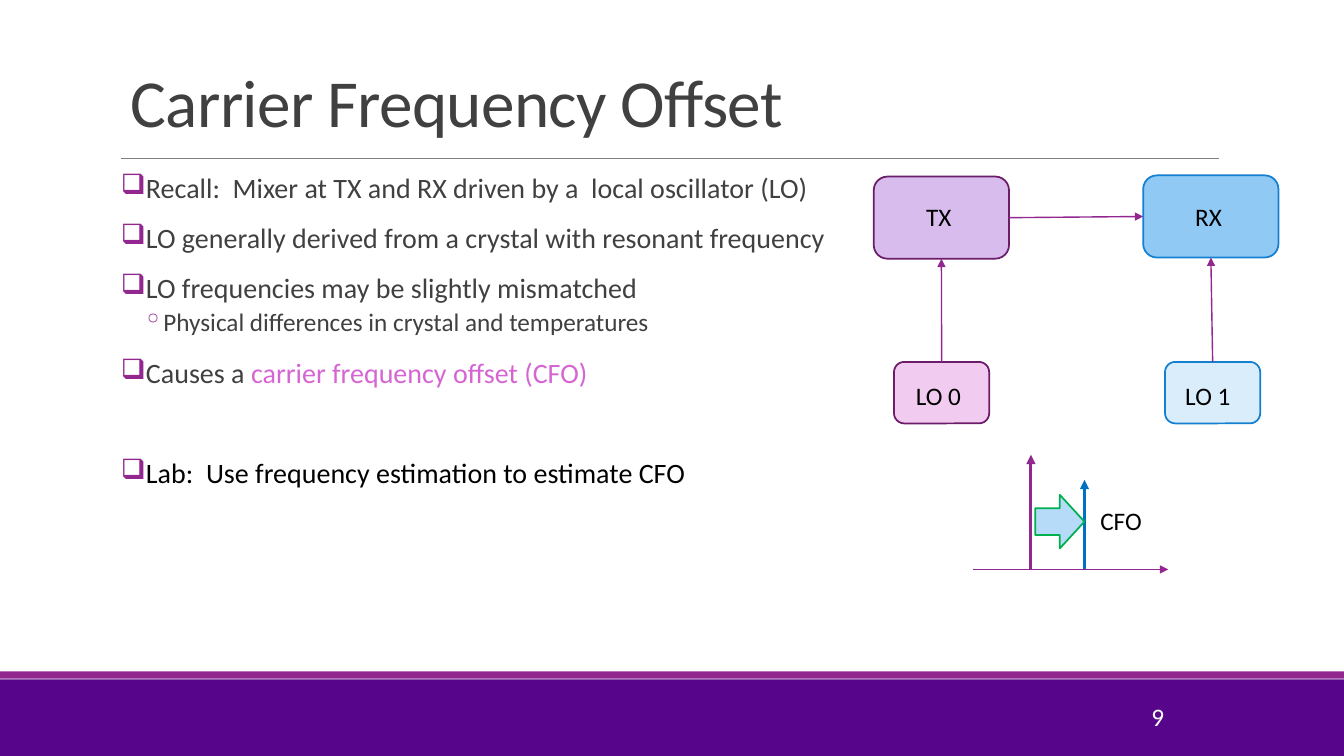
"""Build the Carrier Frequency Offset slide."""
from dataclasses import dataclass

from lxml import etree
from pptx import Presentation
from pptx import util as u
from pptx.dml.color import RGBColor
from pptx.enum import shapes, text
from pptx.oxml import ns

WHITE = RGBColor(0xFF, 0xFF, 0xFF)
BLACK = RGBColor(0x00, 0x00, 0x00)
INK = RGBColor(0x40, 0x40, 0x40)
GREY = RGBColor(0x80, 0x80, 0x80)
VIOLET = RGBColor(0x57, 0x06, 0x8C)
PURPLE = RGBColor(0x92, 0x27, 0x8F)
PLUM = RGBColor(0x6C, 0x1D, 0x6A)
ORCHID = RGBColor(0xD6, 0x65, 0xD3)
LILAC = RGBColor(0xD7, 0xBC, 0xED)
PINK = RGBColor(0xF1, 0xCC, 0xF0)
SKY = RGBColor(0x8F, 0xC9, 0xF4)
ICE = RGBColor(0xDA, 0xED, 0xFB)
AZURE = RGBColor(0x14, 0x80, 0xD1)
BLUE = RGBColor(0x00, 0x70, 0xC0)
PALE_BLUE = RGBColor(0xB5, 0xDB, 0xF8)
GREEN = RGBColor(0x00, 0xB0, 0x50)

SLIDE_WIDTH, SLIDE_HEIGHT = 33.87, 19.05
AXIS_Y = 14.35
RECT = shapes.MSO_SHAPE.RECTANGLE
ROUNDED = shapes.MSO_SHAPE.ROUNDED_RECTANGLE
RIGHT_ARROW = shapes.MSO_SHAPE.RIGHT_ARROW
TOP, LEFT, BOTTOM, RIGHT = range(4)


@dataclass(frozen=True)
class Area:
    """Place and size in centimetres."""
    left: float
    top: float
    width: float
    height: float

    def lengths(self) -> list:
        """Return the four values as lengths."""
        return [u.Cm(v) for v in (self.left, self.top, self.width, self.height)]


@dataclass(frozen=True)
class Block:
    """A filled shape, outlined when an edge colour is given."""
    area: Area
    fill: RGBColor
    edge: RGBColor | None = None
    kind: shapes.MSO_SHAPE = ROUNDED


@dataclass(frozen=True)
class Stroke:
    """A straight line, with an arrowhead at its end unless plain."""
    start: tuple[float, float]
    end: tuple[float, float]
    color: RGBColor = PURPLE
    weight: float = 1
    arrow: bool = True


@dataclass(frozen=True)
class Point:
    """A bullet made of coloured runs."""
    runs: list[tuple[str, RGBColor]]
    before: float = 12
    after: float = 2
    size: float = 20
    mark: str = "❑"
    margin: float = 0.25
    hang: float = 0.25


BANDS = [
    Block(Area(0, 17.12, SLIDE_WIDTH, 1.93), VIOLET, kind=RECT),
    Block(Area(0, 16.92, SLIDE_WIDTH, 0.18), PURPLE, kind=RECT),
]
NODES = {
    "TX": Block(Area(22.02, 4.45, 3.41, 2.07), LILAC, PLUM),
    "LO 0": Block(Area(22.53, 9.12, 2.4, 1.55), PINK, PLUM),
    "RX": Block(Area(28.81, 4.42, 3.41, 2.07), SKY, AZURE),
    "LO 1": Block(Area(29.36, 9.12, 2.4, 1.55), ICE, AZURE),
}
LINKS = [
    ("TX", RIGHT, "RX", LEFT),
    ("LO 0", TOP, "TX", BOTTOM),
    ("LO 1", TOP, "RX", BOTTOM),
]
LABELS = {
    "TX": Area(23.09, 4.95, 1.17, 1.02),
    "LO 0": Area(22.83, 9.47, 1.68, 1.02),
    "RX": Area(29.87, 4.95, 1.19, 1.02),
    "LO 1": Area(29.62, 9.45, 1.68, 1.02),
    "CFO": Area(27.48, 12.62, 1.57, 1.02),
}
SPECTRUM = [
    Stroke((24.51, AXIS_Y), (29.44, AXIS_Y)),
    Stroke((25.98, AXIS_Y), (25.98, 11.46), weight=2.25),
    Stroke((27.33, AXIS_Y), (27.33, 12.09), BLUE, 2.25),
]
OFFSET = Block(Area(26.09, 12.47, 1.24, 1.35), PALE_BLUE, GREEN, RIGHT_ARROW)
TITLE_RULE = Stroke((3.05, 3.99), (30.73, 3.99), GREY, 0.5, arrow=False)
POINTS = [
    Point([("Recall:  Mixer at TX and RX driven by a  local oscillator (LO)", INK)], before=0),
    Point([("LO generally derived from a crystal with resonant frequency", INK)]),
    Point([("LO frequencies may be slightly mismatched", INK)]),
    Point([("Physical differences in crystal and temperatures", INK)],
          before=2, after=4, size=18, mark="◦", margin=1.07, hang=0.51),
    Point([("Causes a ", INK), ("carrier frequency offset (CFO)", ORCHID)]),
    Point([("Lab:  Use frequency estimation to estimate CFO", BLACK)], before=48),
]


def add_block(slide, block: Block):
    """Draw a filled shape and return it."""
    shape = slide.shapes.add_shape(block.kind, *block.area.lengths())
    shape.shadow.inherit = False
    shape.fill.solid()
    shape.fill.fore_color.rgb = block.fill
    if block.edge is None:
        shape.line.fill.background()
    else:
        shape.line.color.rgb = block.edge
        shape.line.width = u.Pt(1.25)
    return shape


def add_stroke(slide, stroke: Stroke):
    """Draw a straight connector and return it."""
    ends = [u.Cm(v) for v in (*stroke.start, *stroke.end)]
    connector = slide.shapes.add_connector(shapes.MSO_CONNECTOR.STRAIGHT, *ends)
    connector.line.color.rgb = stroke.color
    connector.line.width = u.Pt(stroke.weight)
    properties = connector._element.spPr
    if stroke.arrow:
        outline = properties.find(ns.qn("a:ln"))
        etree.SubElement(outline, ns.qn("a:tailEnd"), type="triangle")
    etree.SubElement(properties, ns.qn("a:effectLst"))
    return connector


def add_run(paragraph, words: str, size: float, color: RGBColor):
    """Append a run and return it."""
    run = paragraph.add_run()
    run.text = words
    run.font.name = "Calibri"
    run.font.size = u.Pt(size)
    run.font.color.rgb = color
    return run


def add_frame(slide, area: Area, anchor=text.MSO_ANCHOR.TOP, wrap: bool = True):
    """Add a text box and return its text frame."""
    frame = slide.shapes.add_textbox(*area.lengths()).text_frame
    frame.word_wrap = wrap
    frame.vertical_anchor = anchor
    return frame


def add_point(paragraph, point: Point) -> None:
    """Fill a paragraph with a bullet point."""
    properties = paragraph._p.get_or_add_pPr()
    properties.set("marL", str(u.Cm(point.margin)))
    properties.set("indent", str(-u.Cm(point.hang)))
    bullet_color = etree.SubElement(properties, ns.qn("a:buClr"))
    etree.SubElement(bullet_color, ns.qn("a:srgbClr"), val=str(PURPLE))
    etree.SubElement(properties, ns.qn("a:buChar"), char=point.mark)
    paragraph.line_spacing = 0.9
    paragraph.space_before = u.Pt(point.before)
    paragraph.space_after = u.Pt(point.after)
    for words, color in point.runs:
        add_run(paragraph, words, point.size, color)


def main() -> None:
    """Build and save the slide."""
    deck = Presentation()
    deck.slide_width, deck.slide_height = u.Cm(SLIDE_WIDTH), u.Cm(SLIDE_HEIGHT)
    slide = deck.slides.add_slide(deck.slide_layouts[6])
    for band in BANDS:
        add_block(slide, band)
    add_stroke(slide, TITLE_RULE)

    title = add_frame(slide, Area(3.05, 0.79, 27.94, 2.9), text.MSO_ANCHOR.BOTTOM).paragraphs[0]
    title.line_spacing = 0.85
    heading = add_run(title, "Carrier Frequency Offset", 48, INK)
    heading._r.get_or_add_rPr().set("spc", "-50")

    page = add_frame(slide, Area(25.96, 17.55, 3.63, 1.02), text.MSO_ANCHOR.MIDDLE).paragraphs[0]
    page.alignment = text.PP_ALIGN.RIGHT
    add_run(page, "9", 18, WHITE)

    body = add_frame(slide, Area(3.05, 4.27, 27.94, 12.04))
    body.margin_left = body.margin_right = 0
    for index, point in enumerate(POINTS):
        add_point(body.add_paragraph() if index else body.paragraphs[0], point)

    nodes = {name: add_block(slide, block) for name, block in NODES.items()}
    for source, source_side, target, target_side in LINKS:
        link = add_stroke(slide, Stroke((0, 0), (0, 0)))
        link.begin_connect(nodes[source], source_side)
        link.end_connect(nodes[target], target_side)
    for stroke in SPECTRUM:
        add_stroke(slide, stroke)
    add_block(slide, OFFSET)
    for words, area in LABELS.items():
        add_run(add_frame(slide, area, wrap=False).paragraphs[0], words, 18, BLACK)
    deck.save("out.pptx")


if __name__ == "__main__":
    main()
